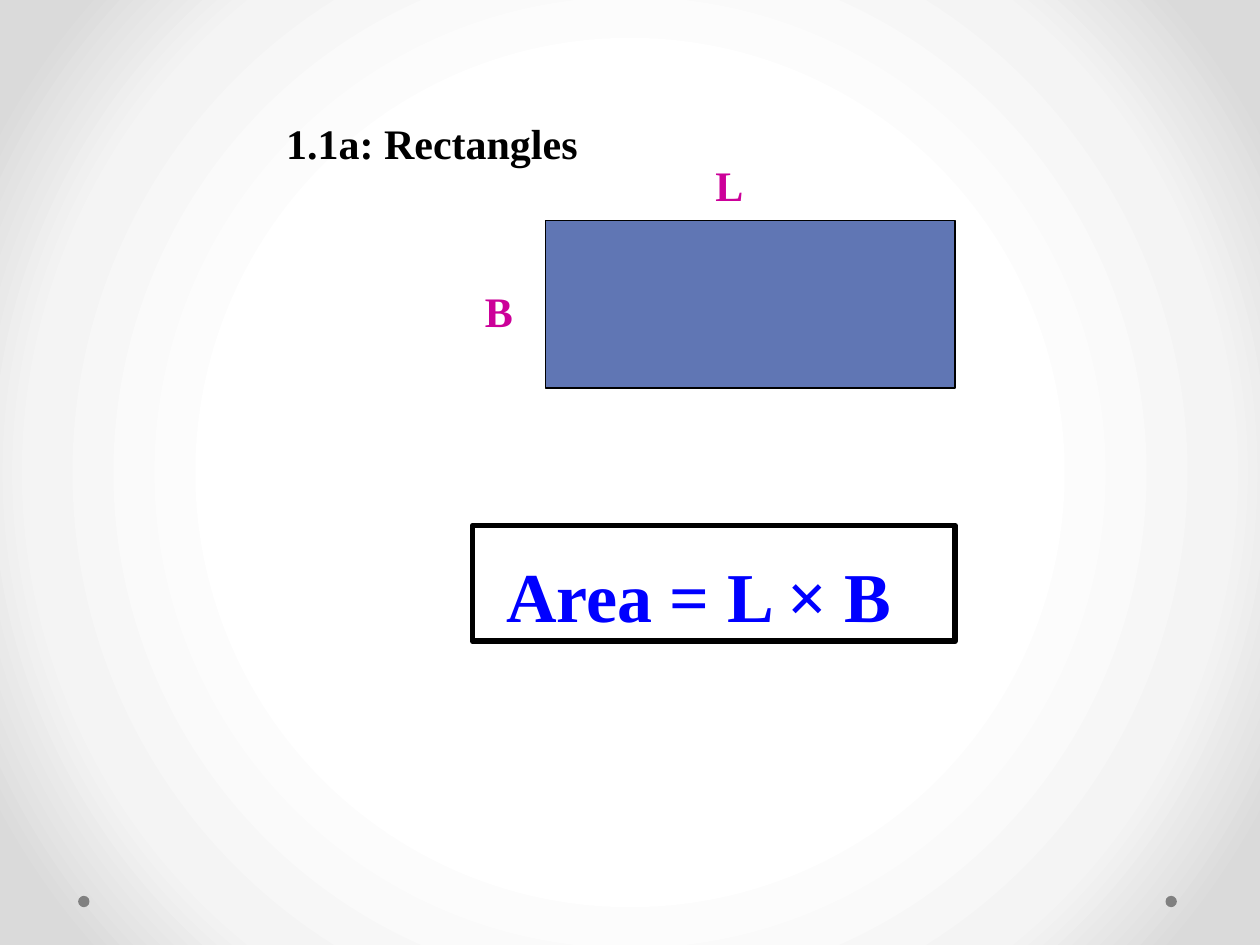
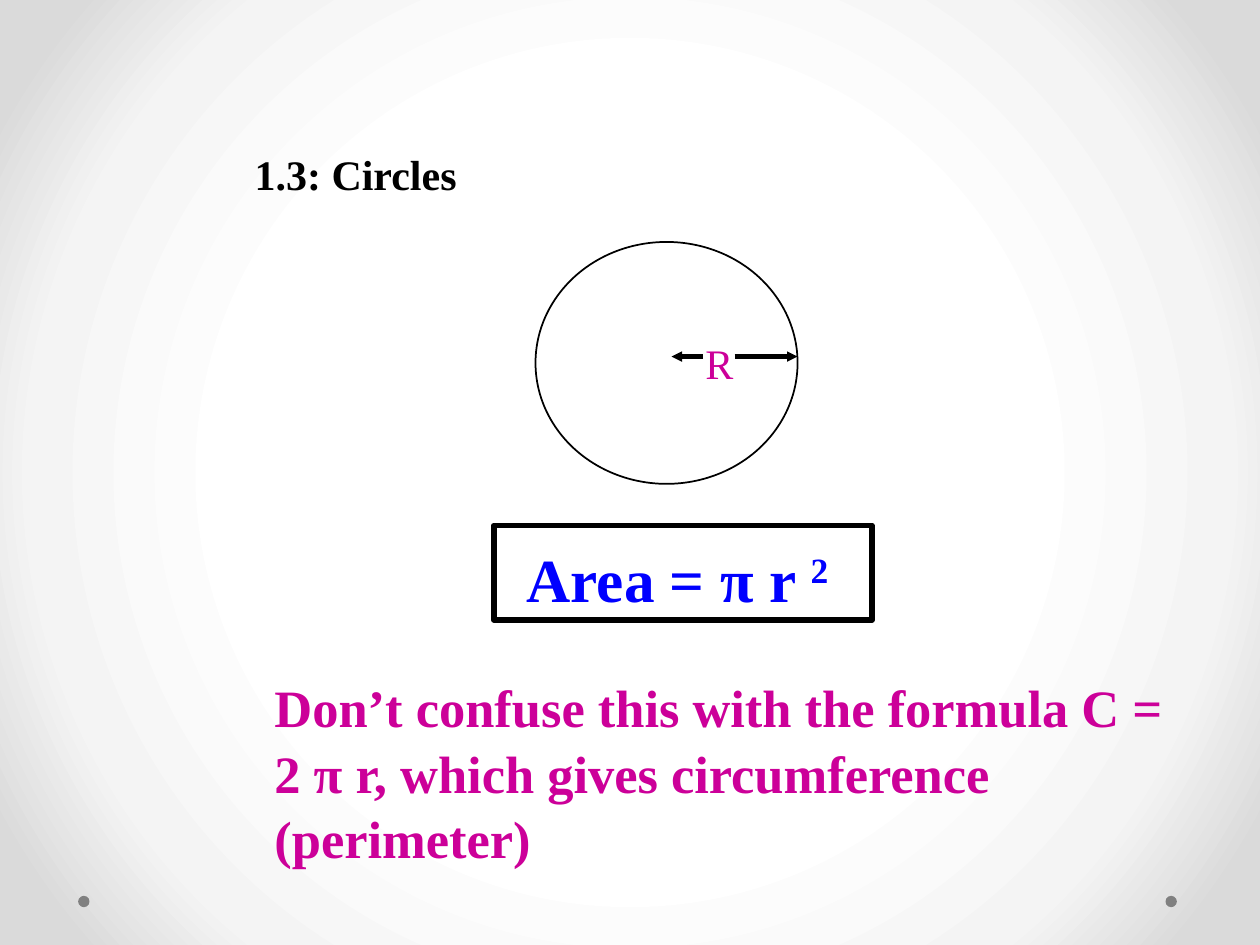
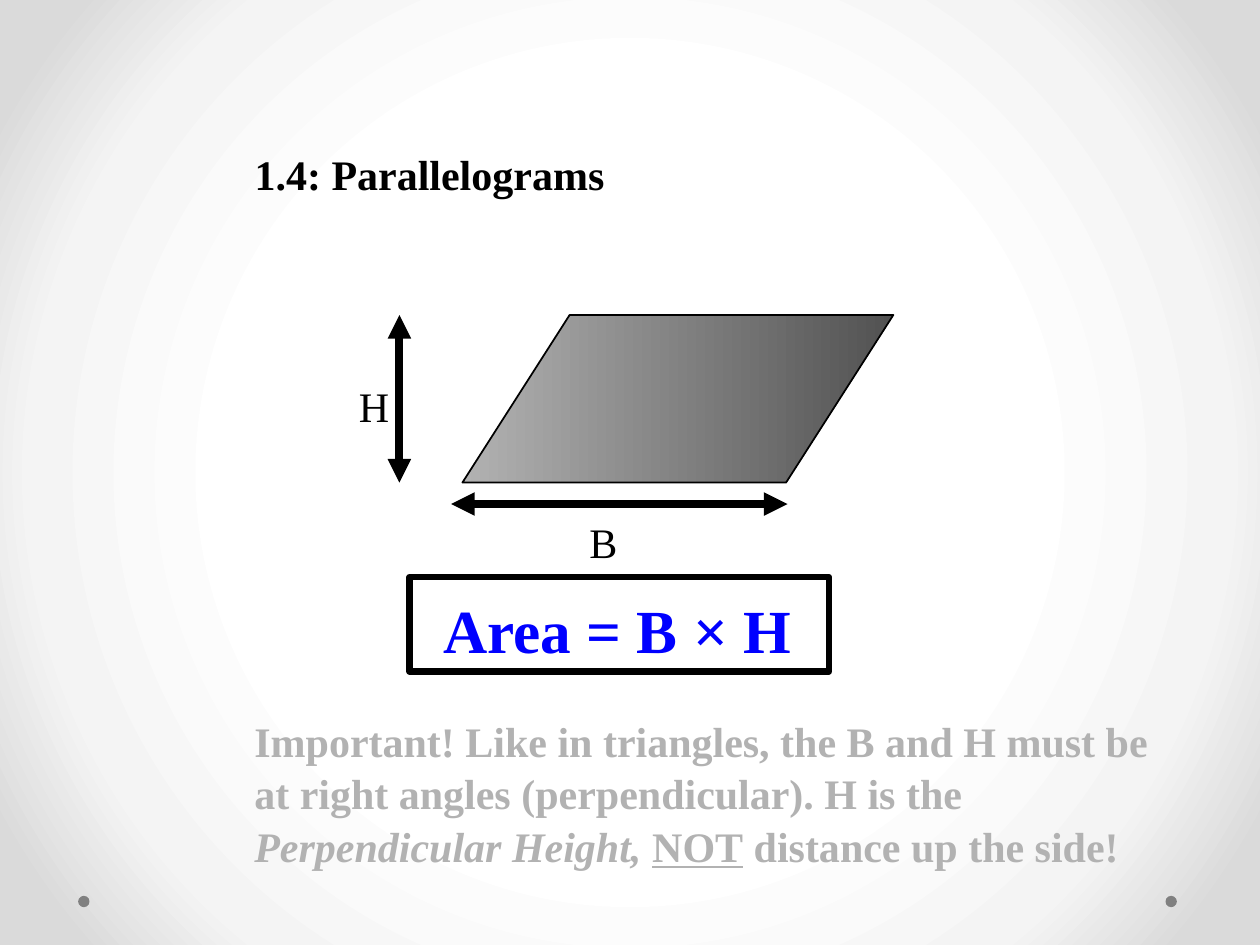
import pptx
import pptx.dml.color
import pptx.enum.shapes
import pptx.enum.text
import pptx.oxml
import pptx.oxml.ns
import pptx.util
from lxml import etree

Inches = pptx.util.Inches
Pt = pptx.util.Pt
qn = pptx.oxml.ns.qn
KIND = pptx.enum.shapes.MSO_SHAPE

BLACK, WHITE, GREY = "000000", "FFFFFF", "808080"
PINK, BLUE, SLATE, SILVER, DARK = "CC0099", "0000FF", "6076B4", "B2B2B2", "525252"
GLOW = [(50, "FFFFFF"), (76, "F4F4F4"), (92, "DADADA")]
HEAD = {"size": 24, "bold": True}
LABEL = {"size": 24, "bold": False}
RULE = {"size": 35, "bold": True}


def hue(code):
    return pptx.dml.color.RGBColor.from_string(code)


def inch(*sizes):
    return [Inches(size) for size in sizes]


class Deck:
    font = "Times New Roman"

    def __init__(self):
        self.show = pptx.Presentation()
        self.show.slide_width, self.show.slide_height = inch(10, 7.5)
        self.slide = self.host = None
        self.glow()

    def glow(self):
        """Give the master its round gradient background."""
        stops = "".join(f'<a:gs pos="{at * 1000}"><a:srgbClr val="{code}"/></a:gs>'
                        for at, code in GLOW)
        back = pptx.oxml.parse_xml(
            '<p:bg xmlns:p="http://schemas.openxmlformats.org/presentationml/2006/main" '
            'xmlns:a="http://schemas.openxmlformats.org/drawingml/2006/main"><p:bgPr>'
            f'<a:gradFill rotWithShape="1"><a:gsLst>{stops}</a:gsLst><a:path path="circle">'
            '<a:fillToRect l="50000" t="50000" r="50000" b="50000"/></a:path></a:gradFill>'
            '<a:effectLst/></p:bgPr></p:bg>')
        base = self.show.slide_master.element.cSld
        for old in base.findall(qn("p:bg")):
            base.remove(old)
        base.insert(0, back)

    def dots(self):
        """Draw the two footer dots and move them to the master."""
        tree = self.show.slide_master.element.cSld.spTree
        for num, left in enumerate((9.25, 0.62), 20):
            dot = self.shape(KIND.OVAL, (left, 7.11, 0.09, 0.09), GREY, None)
            dot.element.nvSpPr.cNvPr.set("id", str(num))
            tree.append(dot.element)

    def start(self, title, box):
        self.slide = self.show.slides.add_slide(self.show.slide_layouts[5])
        self.host = self.slide.shapes
        head = self.host.title
        head.left, head.top, head.width, head.height = inch(*box)
        self.letter(head, [(title, {})], BLACK, HEAD)

    def group(self):
        self.host = self.slide.shapes.add_group_shape().shapes

    def leave(self):
        """Go back from a group to the slide itself."""
        self.host = self.slide.shapes

    def letter(self, shape, parts, color, style):
        """Put the parts in the shape as one formatted paragraph."""
        frame = shape.text_frame
        look = {"word_wrap": True, "auto_size": pptx.enum.text.MSO_AUTO_SIZE.NONE,
                "vertical_anchor": pptx.enum.text.MSO_ANCHOR.TOP,
                "margin_left": Inches(0.1), "margin_right": Inches(0.1),
                "margin_top": Inches(0.05) + Pt(style["size"] * 0.1),
                "margin_bottom": 0}
        for key, value in look.items():
            setattr(frame, key, value)
        para = frame.paragraphs[0]
        para.alignment = pptx.enum.text.PP_ALIGN.LEFT
        para.line_spacing = 1.04
        for words, extra in parts:
            run = para.add_run()
            run.text = words
            form = {"name": self.font, **style, **extra}
            form["size"] = Pt(form["size"])
            raised = form.pop("raised", None)
            for key, value in form.items():
                setattr(run.font, key, value)
            run.font.color.rgb = hue(color)
            if raised:
                run._r.get_or_add_rPr().set("baseline", str(raised * 1000))

    def text(self, parts, box, color, style):
        if isinstance(parts, str):
            parts = [(parts, {})]
        self.letter(self.host.add_textbox(*inch(*box)), parts, color, style)

    def shape(self, kind, box, fill, width=1):
        item = self.host.add_shape(kind, *inch(*box))
        item.shadow.inherit = False
        if fill:
            item.fill.solid()
            item.fill.fore_color.rgb = hue(fill)
        else:
            item.fill.background()
        if width:
            item.line.color.rgb = hue(BLACK)
            item.line.width = Pt(width)
        else:
            item.line.fill.background()
        return item

    def fade(self, item, *codes):
        item.fill.gradient()
        item.fill.gradient_angle = 0
        for stop, code in zip(item.fill.gradient_stops, codes):
            stop.color.rgb = hue(code)

    def arrow(self, start, end, width, ends, size):
        line = self.host.add_connector(pptx.enum.shapes.MSO_CONNECTOR.STRAIGHT,
                                       *inch(*start, *end))
        line.line.color.rgb = hue(BLACK)
        line.line.width = Pt(width)
        props = line.element.spPr
        for tag in ends:
            etree.SubElement(props.get_or_add_ln(), qn(f"a:{tag}"),
                             type="triangle", w=size, len=size)
        etree.SubElement(props, qn("a:effectLst"))


def oblong(deck):
    deck.start("1.1a: Rectangles", (2.17, 0.83, 6, 0.5))
    deck.dots()
    deck.shape(KIND.RECTANGLE, (4.33, 1.75, 3.25, 1.33), SLATE)
    deck.text("Area = L × B", (3.92, 4.25, 3.5, 0.77), BLUE, {**RULE, "size": 40})
    for name, left, top in (("L", 5.58, 1.17), ("B", 3.75, 2.17)):
        deck.text(name, (left, top, 0.75, 0.5), PINK, HEAD)
    deck.shape(KIND.RECTANGLE, (3.75, 4.17, 3.83, 0.92), None, 3.25)


def circle(deck):
    deck.start("1.3: Circles", (1.92, 1.08, 7.17, 0.5))
    deck.shape(KIND.OVAL, (4.25, 1.92, 2.08, 1.92), WHITE)
    deck.text([("Area = π r ", {}), ("2", {"raised": 30})],
              (4.08, 4.17, 3.08, 0.68), BLUE, RULE)
    deck.group()
    deck.text("R", (5.5, 2.58, 0.5, 0.5), PINK, LABEL)
    for start, end in ((5.83, 6.33), (5.58, 5.33)):
        deck.arrow((start, 2.83), (end, 2.83), 3, ["tailEnd"], "sm")
    deck.leave()
    deck.text("Don’t confuse this with the formula C = 2 π r, which gives "
              "circumference (perimeter)",
              (2.08, 5.25, 7.33, 1.6), PINK, {**HEAD, "size": 30})
    deck.shape(KIND.RECTANGLE, (3.92, 4.17, 3, 0.75), None, 3.25)


def slanted(deck):
    deck.start("1.4: Parallelograms", (1.92, 1.08, 7.17, 0.5))
    slant = deck.shape(KIND.PARALLELOGRAM, (3.67, 2.5, 3.42, 1.33), SILVER)
    slant.adjustments[0] = 0.64
    deck.fade(slant, SILVER, DARK)
    sides = (("H", (2.75, 2.92, 0.5, 0.5), (3.17, 2.5), (3.17, 3.83)),
             ("B", (4.58, 4, 0.75, 0.5), (3.58, 4), (6.25, 4)))
    for name, box, start, end in sides:
        deck.group()
        deck.text(name, box, BLACK, LABEL)
        deck.arrow(start, end, 4.5, ["headEnd", "tailEnd"], "med")
        deck.leave()
    deck.text([("Important! Like in triangles, the B and H must be at right angles "
                "(perpendicular). H is the ", {}),
               ("Perpendicular Height, ", {"italic": True}),
               ("NOT", {"underline": True}),
               (" distance up the side!", {})],
              (1.92, 5.58, 7.42, 1.3), SILVER, HEAD)
    deck.group()
    deck.text("Area = B × H", (3.42, 4.58, 6, 0.68), BLUE, RULE)
    deck.shape(KIND.RECTANGLE, (3.25, 4.58, 3.33, 0.75), None, 3.5)
    deck.leave()


def main():
    deck = Deck()
    for build in (oblong, circle, slanted):
        build(deck)
    deck.show.save("out.pptx")


if __name__ == "__main__":
    main()
